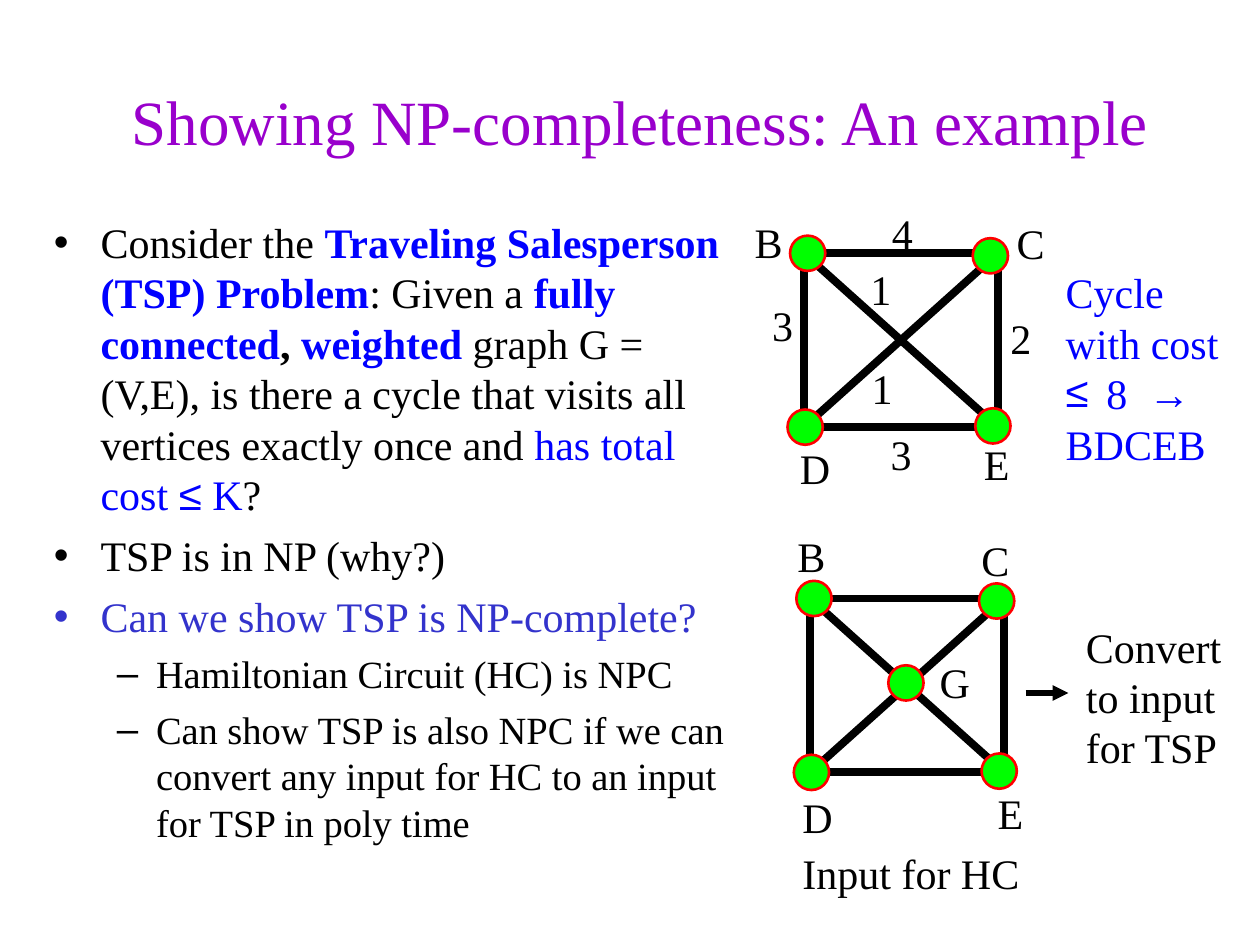
from dataclasses import dataclass

from lxml import etree
from pptx import Presentation
from pptx.dml.color import RGBColor
from pptx.enum.shapes import MSO_CONNECTOR, MSO_SHAPE
from pptx.enum.text import MSO_ANCHOR, PP_ALIGN
from pptx.oxml.ns import qn
from pptx.util import Inches, Pt

SERIF, SANS = "Times New Roman", "Arial"
BLACK, BLUE, INDIGO, PURPLE = "000000", "0000FF", "3333CC", "9900CC"
GREEN, RED = "00FF00", "FF0000"
SQUARE_WIDTH, SQUARE_HEIGHT, NODE_SIZE = 1.54, 1.38, 0.28


@dataclass
class Run:
    text: str
    color: str | None = None
    bold: bool | None = None
    font: str | None = None


@dataclass
class Line:
    runs: list[Run]
    color: str = BLACK
    size: float = 24
    bullet: str = ""
    margin: float = 0
    hanging: float = 0
    space_before: float = 0


@dataclass
class Label:
    text: str
    left: float
    top: float
    width: float = 0.42


@dataclass
class Graph:
    left: float
    top: float
    nodes: list[tuple[float, float]]
    labels: list[Label]


def rgb(color: str) -> RGBColor:
    return RGBColor.from_string(color)


def set_bullet(paragraph, line: Line) -> None:
    properties = paragraph._p.get_or_add_pPr()
    properties.set("marL", str(Inches(line.margin)))
    properties.set("indent", str(-Inches(line.hanging)))
    color = etree.SubElement(properties, qn("a:buClr"))
    etree.SubElement(color, qn("a:srgbClr"), val=line.color)
    etree.SubElement(properties, qn("a:buFont"), typeface=SANS)
    etree.SubElement(properties, qn("a:buChar"), char=line.bullet)


def add_text(slide, left: float, top: float, width: float, height: float,
             lines: list[Line], wrap: bool = False):
    box = slide.shapes.add_textbox(Inches(left), Inches(top), Inches(width), Inches(height))
    frame = box.text_frame
    frame.word_wrap = wrap
    for index, line in enumerate(lines):
        paragraph = frame.paragraphs[0] if index == 0 else frame.add_paragraph()
        paragraph.space_before = Pt(line.space_before)
        if line.bullet:
            set_bullet(paragraph, line)
        paragraph.font.size = Pt(line.size)
        paragraph.font.name = SERIF
        paragraph.font.color.rgb = rgb(line.color)
        for part in line.runs:
            run = paragraph.add_run()
            run.text = part.text
            if part.color:
                run.font.color.rgb = rgb(part.color)
            if part.bold:
                run.font.bold = True
            if part.font:
                run.font.name = part.font
    return frame


def add_label(slide, label: Label) -> None:
    add_text(slide, label.left, label.top, label.width, 0.5, [Line([Run(label.text)])])


def add_edge(slide, start: tuple[float, float], end: tuple[float, float],
             weight: float = 4.5, arrow: bool = False) -> None:
    edge = slide.shapes.add_connector(MSO_CONNECTOR.STRAIGHT, *map(Inches, start + end))
    edge.line.color.rgb = rgb(BLACK)
    edge.line.width = Pt(weight)
    if arrow:
        etree.SubElement(edge.line._get_or_add_ln(), qn("a:tailEnd"), type="triangle")
    etree.SubElement(edge._element.spPr, qn("a:effectLst"))


def add_outline(slide, kind, left: float, top: float, width: float, height: float,
                color: str, weight: float, fill: str | None = None) -> None:
    shape = slide.shapes.add_shape(kind, Inches(left), Inches(top), Inches(width), Inches(height))
    shape.shadow.inherit = False
    shape.line.color.rgb = rgb(color)
    shape.line.width = Pt(weight)
    if fill:
        shape.fill.solid()
        shape.fill.fore_color.rgb = rgb(fill)
    else:
        shape.fill.background()


def add_graph(slide, graph: Graph) -> None:
    left, top = graph.left, graph.top
    right, bottom = left + SQUARE_WIDTH, top + SQUARE_HEIGHT
    add_outline(slide, MSO_SHAPE.RECTANGLE, left, top, SQUARE_WIDTH, SQUARE_HEIGHT, BLACK, 4.5)
    add_edge(slide, (left, top), (right, bottom))
    add_edge(slide, (left, bottom), (right, top))
    for dx, dy in graph.nodes:
        add_outline(slide, MSO_SHAPE.OVAL, left + dx, top + dy, NODE_SIZE, NODE_SIZE,
                    RED, 1.5, GREEN)
    for label in graph.labels:
        add_label(slide, label)


CORNERS = [(-0.11, -0.14), (1.34, -0.12), (-0.13, 1.24), (1.36, 1.23)]
CENTER = (0.62, 0.53)
GRAPHS = [
    Graph(6.43, 4.75, CORNERS + [CENTER], [
        Label("B", 6.23, 4.16), Label("C", 7.69, 4.19), Label("D", 6.27, 6.23),
        Label("E", 7.82, 6.2), Label("G", 7.36, 5.16), Label("Input for HC", 6.27, 6.68, 1.92)]),
    Graph(6.38, 2.01, CORNERS, [
        Label("B", 5.89, 1.67), Label("C", 7.97, 1.68), Label("D", 6.25, 3.46),
        Label("E", 7.71, 3.43), Label("3", 6.03, 2.33, 0.36), Label("3", 6.97, 3.35, 0.36),
        Label("1", 6.82, 2.83, 0.36), Label("1", 6.81, 2.04, 0.36),
        Label("2", 7.92, 2.43, 0.36), Label("4", 6.98, 1.6, 0.36)]),
]


def point(*runs: Run, color: str = BLACK) -> Line:
    return Line(list(runs), color, 24, "•", 0.37, 0.37, 6)


def subpoint(text: str) -> Line:
    return Line([Run(text)], BLACK, 22, "–", 0.81, 0.31, 5.5)


BODY = [
    point(Run("Consider the "), Run("Traveling Salesperson (TSP) Problem", BLUE, True),
          Run(": Given a "), Run("fully connected", BLUE, True), Run(", ", bold=True),
          Run("weighted ", BLUE, True),
          Run("graph G = (V,E), is there a cycle that visits all vertices exactly once and "),
          Run("has total cost ", BLUE), Run("≤", BLUE, font=SANS), Run(" K", BLUE), Run("?")),
    point(Run("TSP is in NP (why?)")),
    point(Run("Can we show TSP is NP-complete?"), color=INDIGO),
    subpoint("Hamiltonian Circuit (HC) is NPC"),
    subpoint("Can show TSP is also NPC if we can convert any input for HC "
             "to an input for TSP in poly time"),
]
CYCLE = [
    Line([Run("Cycle")], BLUE),
    Line([Run("with cost")], BLUE),
    Line([Run(" 8  "), Run("→", font=SANS)], BLUE, bullet="≤", margin=0.24, hanging=0.24),
    Line([Run("BDCEB")], BLUE),
]
CONVERT = [Line([Run(text)]) for text in ("Convert", "to input", "for TSP")]


def main() -> None:
    presentation = Presentation()
    presentation.slide_width, presentation.slide_height = Inches(10), Inches(7.5)
    slide = presentation.slides.add_slide(presentation.slide_layouts[6])
    title = add_text(slide, 0.83, 0.33, 8.5, 1.25,
                     [Line([Run("Showing NP-completeness: An example")], PURPLE, 36)], wrap=True)
    title.vertical_anchor = MSO_ANCHOR.MIDDLE
    title.paragraphs[0].alignment = PP_ALIGN.CENTER
    add_text(slide, 0.33, 1.67, 5.52, 5.07, BODY, wrap=True)
    for graph in GRAPHS:
        add_graph(slide, graph)
    add_edge(slide, (8.14, 5.5), (8.48, 5.5), 3, arrow=True)
    add_text(slide, 8.52, 4.88, 1.35, 1.3, CONVERT)
    add_text(slide, 8.36, 2.07, 1.41, 2.1, CYCLE)
    presentation.save("out.pptx")


if __name__ == "__main__":
    main()
